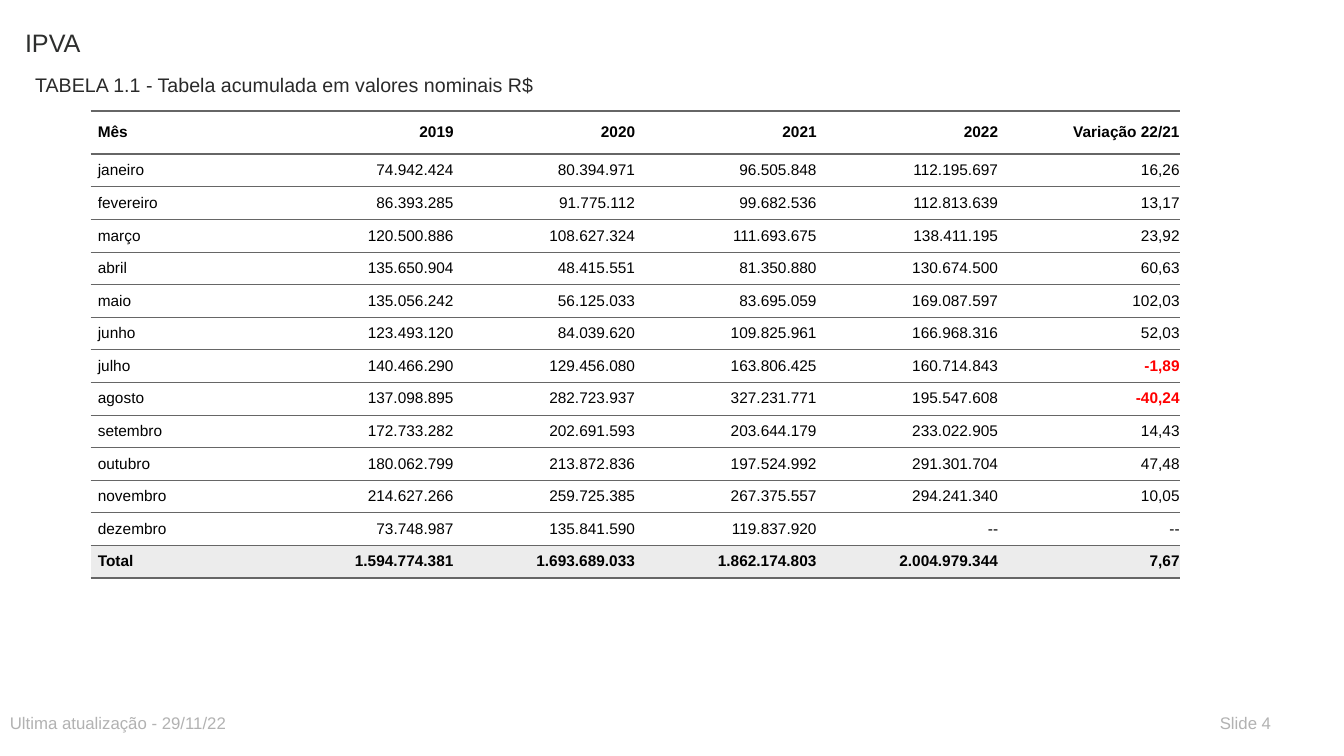
from lxml import etree
from pptx import Presentation
from pptx.dml.color import RGBColor
from pptx.enum.text import MSO_ANCHOR, PP_ALIGN
from pptx.oxml.ns import qn
from pptx.util import Inches, Pt

LEFT, RIGHT = PP_ALIGN.LEFT, PP_ALIGN.RIGHT
MIDDLE = MSO_ANCHOR.MIDDLE
FONT = "Arial"
BLACK, RED, WHITE = "000000", "FF0000", "FFFFFF"
RULE, TOTAL_FILL, FOOTER = "666666", "ECECEC", "B2B2B2"
THIN, THICK = 0.5, 2
NO_STYLE = "{2D5ABB26-0587-4C30-8999-92F81FD0307C}"

# text, (left, top, width, height), size, colour
LABELS = [
    ("IPVA", (0.15, 0.2, 8, 0.59), 18, "2D2E2D"),
    ("TABELA 1.1 - Tabela acumulada em valores nominais R$",
     (0.25, 0.65, 6.5, 0.3), 14, "292929"),
    ("Ultima atualização - 29/11/22", (0, 7, 6.5, 0.3), 12, FOOTER),
    ("Slide 4", (12, 7, 0.9, 0.3), 12, FOOTER),
]

ROWS = [
    ("Mês", "2019", "2020", "2021", "2022", "Variação 22/21"),
    ("janeiro", "74.942.424", "80.394.971", "96.505.848", "112.195.697", "16,26"),
    ("fevereiro", "86.393.285", "91.775.112", "99.682.536", "112.813.639", "13,17"),
    ("março", "120.500.886", "108.627.324", "111.693.675", "138.411.195", "23,92"),
    ("abril", "135.650.904", "48.415.551", "81.350.880", "130.674.500", "60,63"),
    ("maio", "135.056.242", "56.125.033", "83.695.059", "169.087.597", "102,03"),
    ("junho", "123.493.120", "84.039.620", "109.825.961", "166.968.316", "52,03"),
    ("julho", "140.466.290", "129.456.080", "163.806.425", "160.714.843", "-1,89"),
    ("agosto", "137.098.895", "282.723.937", "327.231.771", "195.547.608", "-40,24"),
    ("setembro", "172.733.282", "202.691.593", "203.644.179", "233.022.905", "14,43"),
    ("outubro", "180.062.799", "213.872.836", "197.524.992", "291.301.704", "47,48"),
    ("novembro", "214.627.266", "259.725.385", "267.375.557", "294.241.340", "10,05"),
    ("dezembro", "73.748.987", "135.841.590", "119.837.920", "--", "--"),
    ("Total", "1.594.774.381", "1.693.689.033", "1.862.174.803", "2.004.979.344", "7,67"),
]
TABLE_LEFT, TABLE_TOP = 0.9, 1.1
COLUMN_WIDTH, HEADER_HEIGHT, ROW_HEIGHT = 1.8, 0.43, 0.31
CELL_FORMAT = {
    "margin_left": 0,
    "margin_right": 0,
    "margin_top": Inches(0.07),
    "margin_bottom": Inches(0.07),
    "vertical_anchor": MIDDLE,
}


def rgb(colour):
    return RGBColor.from_string(colour)


def write(paragraph, text, size, colour, bold=False):
    run = paragraph.add_run()
    run.text = text
    run.font.color.rgb = rgb(colour)
    font_format = {"name": FONT, "size": Pt(size), "bold": bold}
    for name, value in font_format.items():
        setattr(run.font, name, value)


def add_border(cell, side, width):
    """Draw a rule on one side of a cell: "lnT" or "lnB"."""
    properties = cell._tc.get_or_add_tcPr()
    line = etree.SubElement(properties, qn("a:" + side), w=str(Pt(width)))
    fill = etree.SubElement(line, qn("a:solidFill"))
    etree.SubElement(fill, qn("a:srgbClr"), val=RULE)


def add_label(slide, text, box, size, colour):
    label = slide.shapes.add_textbox(*map(Inches, box))
    label.text_frame.word_wrap = True
    label.text_frame.margin_top = Inches(0.07)
    write(label.text_frame.paragraphs[0], text, size, colour)


def fill_cell(cell, text, row, column):
    last = len(ROWS) - 1
    header, total = row == 0, row == last
    negative = text.startswith("-") and text != "--"
    top = THICK if row < 2 and header else THICK if row == 1 else THIN
    add_border(cell, "lnT", top)
    add_border(cell, "lnB", THICK if header or total else THIN)
    cell.fill.solid()
    cell.fill.fore_color.rgb = rgb(TOTAL_FILL if total else WHITE)
    for name, value in CELL_FORMAT.items():
        setattr(cell, name, value)
    paragraph = cell.text_frame.paragraphs[0]
    paragraph.alignment = RIGHT if column else LEFT
    paragraph._p.get_or_add_pPr().set("marL", str(Inches(0.07)))
    write(paragraph, text, 11, RED if negative else BLACK,
          header or total or negative)


def add_tax_table(slide):
    columns = len(ROWS[0])
    height = HEADER_HEIGHT + ROW_HEIGHT * (len(ROWS) - 1)
    frame = slide.shapes.add_table(
        len(ROWS), columns, Inches(TABLE_LEFT), Inches(TABLE_TOP),
        Inches(COLUMN_WIDTH * columns), Inches(height))
    table = frame.table
    table.first_row = table.horz_banding = False
    table._tbl.tblPr.find(qn("a:tableStyleId")).text = NO_STYLE
    for column in table.columns:
        column.width = Inches(COLUMN_WIDTH)
    for row, texts in enumerate(ROWS):
        table.rows[row].height = Inches(ROW_HEIGHT if row else HEADER_HEIGHT)
        for column, text in enumerate(texts):
            fill_cell(table.cell(row, column), text, row, column)


def main():
    presentation = Presentation()
    presentation.slide_width = Inches(13.33)
    presentation.slide_height = Inches(7.5)
    slide = presentation.slides.add_slide(presentation.slide_layouts[6])
    for label in LABELS:
        add_label(slide, *label)
    add_tax_table(slide)
    presentation.save("out.pptx")


if __name__ == "__main__":
    main()
